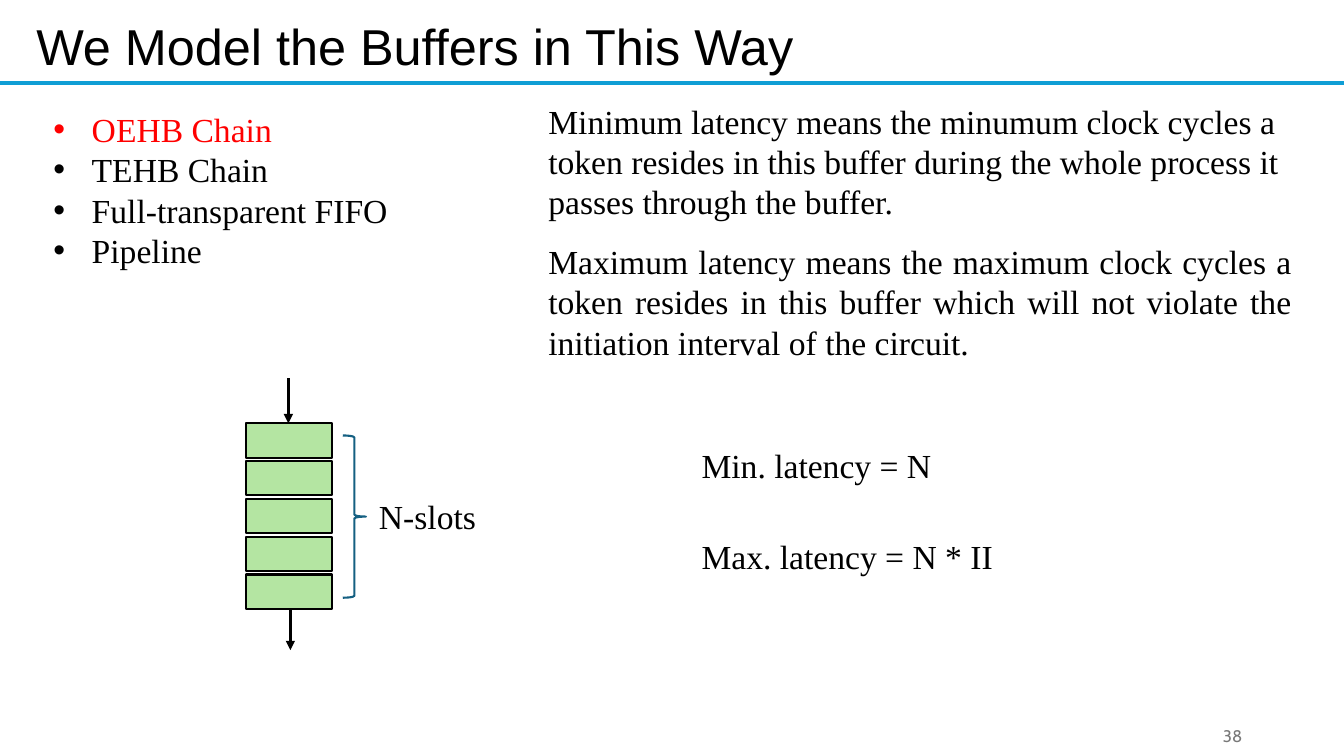
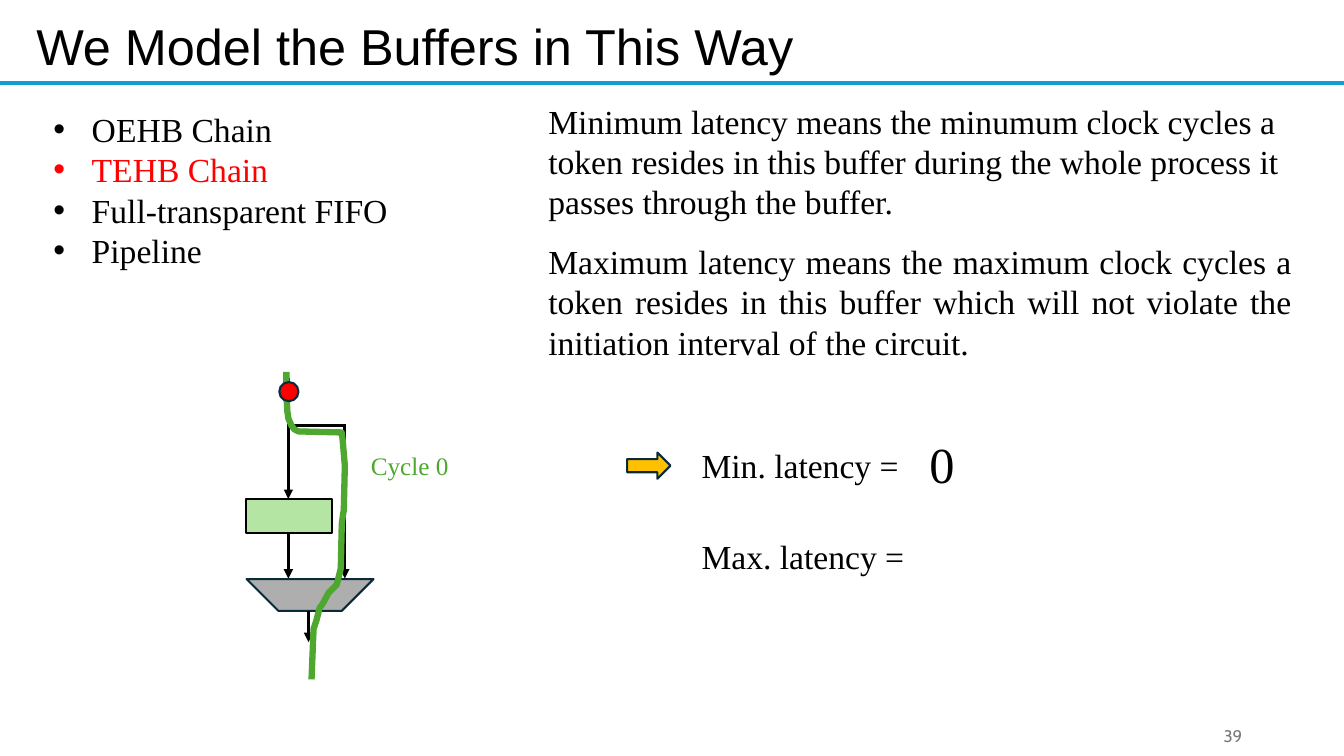
from dataclasses import dataclass

from lxml.etree import SubElement
from pptx import Presentation
from pptx.dml.color import RGBColor
from pptx.enum.shapes import MSO_CONNECTOR, MSO_SHAPE
from pptx.enum.text import MSO_ANCHOR, MSO_AUTO_SIZE, PP_ALIGN
from pptx.oxml.ns import qn
from pptx.util import Inches, Pt


@dataclass(frozen=True)
class Theme:
    black: str = "000000"
    red: str = "FF0000"
    blue: str = "0F9ED5"
    brace: str = "156082"
    slot: str = "B4E5A2"
    green: str = "4EA72E"
    gray: str = "AEAEAE"
    gold: str = "FFC000"
    edge: str = "092A39"
    mute: str = "797979"
    serif: str = "Times New Roman"
    sans: str = "Arial"
    foot: str = "Cabin"
    big: int = 36
    text: int = 24
    note: int = 18
    small: int = 12
    thin: float = 1.5
    wire: float = 2.25
    rule: float = 3
    trace: float = 4.5


T = Theme()

TITLE = "We Model the Buffers in This Way"
KINDS = ["OEHB Chain", "TEHB Chain", "Full-transparent FIFO", "Pipeline"]
NOTES = [
    ("Minimum latency means the minumum clock cycles a token resides in "
     "this buffer during the whole process it passes through the buffer.",
     (5.34, 0.95, 7.8, 1.31), PP_ALIGN.LEFT),
    ("Maximum latency means the maximum clock cycles a token resides in "
     "this buffer which will not violate the initiation interval of the circuit.",
     (5.34, 2.34, 7.57, 1.31), PP_ALIGN.JUSTIFY),
]
PAGES = [
    {"number": 38, "active": 0,
     "facts": ["Min. latency = N", "Max. latency = N * II"]},
    {"number": 39, "active": 1,
     "facts": ["Min. latency =", "Max. latency ="]},
]
SLOT = (2.44, 4.2, 0.85, 0.34)
PITCH = 0.375
COUNT = 5
ROUTE = [
    (2.84, 3.69), (2.84, 3.9), (2.85, 4.08), (2.86, 4.15), (2.89, 4.22),
    (2.92, 4.26), (2.96, 4.28), (3.39, 4.29), (3.4, 4.38), (3.42, 4.62),
    (3.41, 5.06), (3.4, 5.12), (3.39, 5.2), (3.38, 5.64), (3.35, 5.76),
    (3.34, 5.8), (3.26, 5.88), (3.2, 5.99), (3.17, 6.03), (3.14, 6.15),
    (3.11, 6.24), (3.09, 6.74),
]


def color(code):
    return RGBColor.from_string(code)


def place(shape, box):
    shape.left, shape.top, shape.width, shape.height = map(Inches, box)


def write(para, text, size=T.text, hue=T.black, face=T.serif,
          align=PP_ALIGN.LEFT):
    para.alignment = align
    run = para.add_run()
    run.text = text
    run.font.size = Pt(size)
    run.font.name = face
    run.font.color.rgb = color(hue)


def label(slide, text, box, anchor=MSO_ANCHOR.TOP, **style):
    frame = slide.shapes.add_textbox(*map(Inches, box)).text_frame
    frame.word_wrap = True
    frame.vertical_anchor = anchor
    write(frame.paragraphs[0], text, **style)


def paint(shape, fill, line, width=T.thin):
    shape.shadow.inherit = False
    if fill:
        shape.fill.solid()
        shape.fill.fore_color.rgb = color(fill)
    else:
        shape.fill.background()
    shape.line.color.rgb = color(line)
    shape.line.width = Pt(width)


def draw(slide, kind, box, fill, line, turn=0):
    shape = slide.shapes.add_shape(kind, *map(Inches, box))
    shape.rotation = turn
    paint(shape, fill, line)


def wire(slide, start, end, arrow=True, hue=T.black, width=T.wire):
    line = slide.shapes.add_connector(
        MSO_CONNECTOR.STRAIGHT, *map(Inches, start + end))
    line.line.color.rgb = color(hue)
    line.line.width = Pt(width)
    props = line.element.spPr
    if arrow:
        SubElement(props.find(qn("a:ln")), qn("a:tailEnd"), type="triangle")
    SubElement(props, qn("a:effectLst"))


def slot(slide, row):
    left, top, width, height = SLOT
    draw(slide, MSO_SHAPE.RECTANGLE,
         (left, top + row * PITCH, width, height), T.slot, T.black)


def base(deck, page):
    slide = deck.slides.add_slide(deck.slide_layouts[1])
    wire(slide, (0, 0.82), (13.33, 0.82), False, T.blue, T.rule)

    title, body = slide.placeholders
    place(title, (0.26, 0.1, 11.59, 0.71))
    title.text_frame.auto_size = MSO_AUTO_SIZE.NONE
    title.text_frame.vertical_anchor = MSO_ANCHOR.TOP
    write(title.text_frame.paragraphs[0], TITLE, T.big, face=T.sans)

    place(body, (0.43, 1.03, 3.8, 1.72))
    frame = body.text_frame
    frame.auto_size = MSO_AUTO_SIZE.NONE
    for row, kind in enumerate(KINDS):
        para = frame.add_paragraph() if row else frame.paragraphs[0]
        props = para._p.get_or_add_pPr()
        props.set("marL", str(Inches(0.38)))
        props.set("indent", str(-Inches(0.38)))
        SubElement(props, qn("a:buFont"), typeface=T.sans)
        SubElement(props, qn("a:buChar"), char="•")
        para.space_before = Pt(0)
        write(para, kind, hue=T.red if row == page["active"] else T.black)

    for text, box, align in NOTES:
        label(slide, text, box, align=align)
    for row, fact in enumerate(page["facts"]):
        label(slide, fact, (6.86, 4.36 + row * 0.91, 3.2, 0.5))
    label(slide, str(page["number"]), (9.42, 7.1, 3, 0.4), MSO_ANCHOR.MIDDLE,
          size=T.small, hue=T.mute, face=T.foot, align=PP_ALIGN.RIGHT)
    return slide


def chain(slide):
    wire(slide, (2.86, 3.75), (2.86, 4.2))
    for row in range(COUNT):
        slot(slide, row)
    wire(slide, (2.88, 6.05), (2.88, 6.45))
    draw(slide, MSO_SHAPE.RIGHT_BRACE, (3.4, 4.32, 0.23, 1.61), None, T.brace)
    label(slide, "N-slots", (3.66, 4.87, 1.25, 0.5))


def bypass(slide):
    wire(slide, (2.86, 3.75), (2.86, 4.95))
    slot(slide, 2)
    wire(slide, (2.86, 5.29), (2.86, 5.74))
    draw(slide, MSO_SHAPE.RIGHT_ARROW, (6.22, 4.49, 0.43, 0.26),
         T.gold, T.edge)
    label(slide, "0", (9.12, 4.25, 0.5, 0.71), size=T.big)
    label(slide, "Cycle 0", (3.58, 4.42, 1.1, 0.4), size=T.note, hue=T.green)
    wire(slide, (2.87, 4.22), (3.41, 4.22), False)
    draw(slide, MSO_SHAPE.DIAGONAL_STRIPE, (2.63, 5.3, 0.89, 0.89),
         T.gray, T.edge, 225)
    wire(slide, (3.06, 6.06), (3.06, 6.37))
    wire(slide, (3.42, 4.21), (3.42, 5.74))
    first, *rest = [(Inches(x), Inches(y)) for x, y in ROUTE]
    pen = slide.shapes.build_freeform(*first)
    pen.add_line_segments(rest, close=False)
    paint(pen.convert_to_shape(), None, T.green, T.trace)
    draw(slide, MSO_SHAPE.OVAL, (2.77, 3.79, 0.19, 0.19), T.red, T.edge)


def main():
    deck = Presentation()
    deck.slide_width, deck.slide_height = Inches(13.33), Inches(7.5)
    for page, sketch in zip(PAGES, (chain, bypass)):
        sketch(base(deck, page))
    deck.save("out.pptx")


if __name__ == "__main__":
    main()
